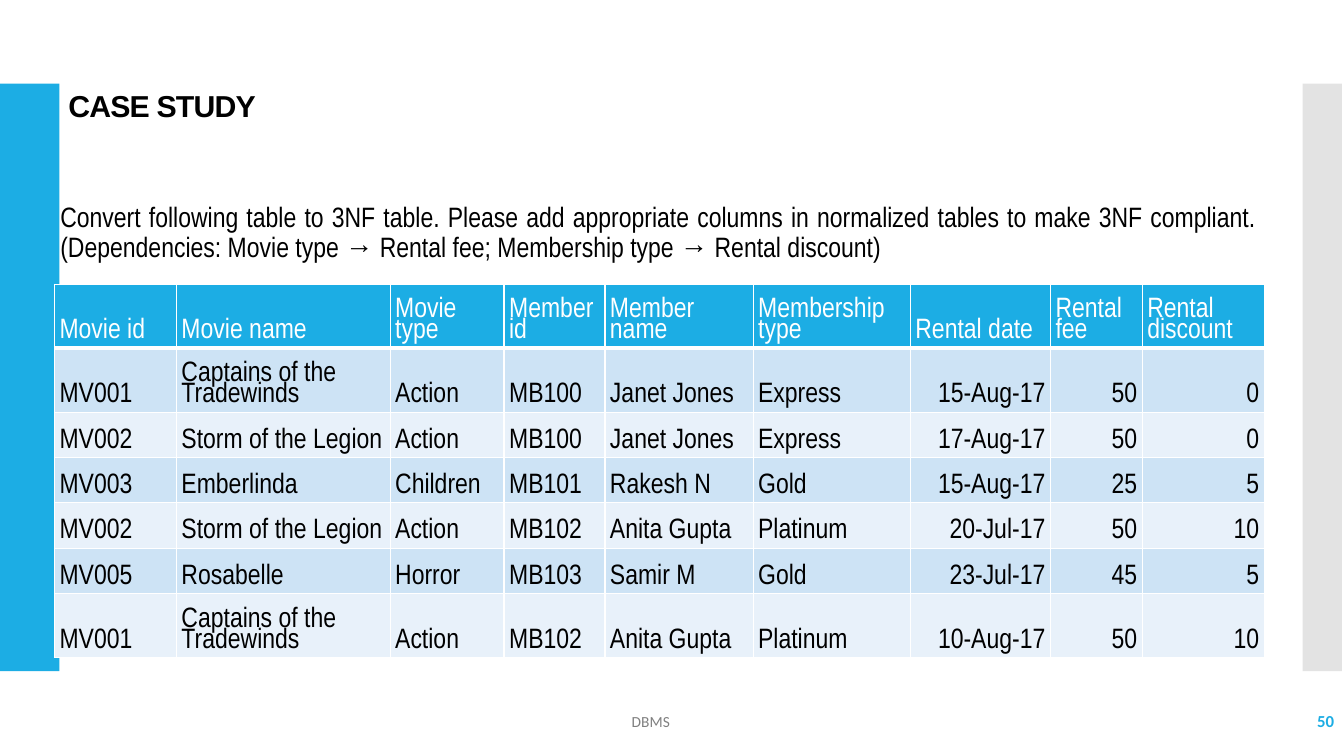
from lxml import etree
from pptx import Presentation
from pptx.dml.color import RGBColor
from pptx.enum import shapes, text
from pptx.oxml import ns
from pptx.util import Inches, Pt

BLUE, WHITE, BLACK = "1CADE4", "FFFFFF", "000000"
BANDS = ["CDE3F5", "E8F1FA"]
NARROW = "Arial Narrow"
LEFT, RIGHT = text.PP_ALIGN.LEFT, text.PP_ALIGN.RIGHT
TOP, MIDDLE = text.MSO_ANCHOR.TOP, text.MSO_ANCHOR.MIDDLE

WIDTHS = [1.21, 2.12, 1.13, 1, 1.47, 1.56, 1.39, 0.91, 1.21]
FIRST_RIGHT = 6  # columns from here on are right-aligned below the header
RENTALS = [
    ["Movie id", "Movie name", "Movie type", "Member id", "Member name",
     "Membership type", "Rental date", "Rental fee", "Rental discount"],
    ["MV001", "Captains of the Tradewinds", "Action", "MB100", "Janet Jones",
     "Express", "15-Aug-17", "50", "0"],
    ["MV002", "Storm of the Legion", "Action", "MB100", "Janet Jones",
     "Express", "17-Aug-17", "50", "0"],
    ["MV003", "Emberlinda", "Children", "MB101", "Rakesh N",
     "Gold", "15-Aug-17", "25", "5"],
    ["MV002", "Storm of the Legion", "Action", "MB102", "Anita Gupta",
     "Platinum", "20-Jul-17", "50", "10"],
    ["MV005", "Rosabelle", "Horror", "MB103", "Samir M",
     "Gold", "23-Jul-17", "45", "5"],
    ["MV001", "Captains of the Tradewinds", "Action", "MB102", "Anita Gupta",
     "Platinum", "10-Aug-17", "50", "10"],
]
TASK = ("Convert following table to 3NF table. Please add appropriate columns "
        "in normalized tables to make 3NF compliant. (Dependencies: Movie type "
        "→ Rental fee; Membership type → Rental discount)")


def paint(fill, color):
    fill.solid()
    fill.fore_color.rgb = RGBColor.from_string(color)


def add_run(para, words, size, font, color, bold=False):
    run = para.add_run()
    run.text = words
    run.font.size = Pt(size)
    run.font.name = font
    run.font.bold = bold
    run.font.color.rgb = RGBColor.from_string(color)
    return run


def add_bar(slide, left, width, color):
    bar = slide.shapes.add_shape(
        shapes.MSO_SHAPE.RECTANGLE, Inches(left), Inches(0.83),
        Inches(width), Inches(5.83))
    bar.shadow.inherit = False
    bar.line.fill.background()
    paint(bar.fill, color)
    return bar


def fade(shape, percent):
    """Make a solid fill partly transparent, keeping percent of its opacity."""
    color = next(shape.fill._xPr.iter(ns.qn("a:srgbClr")))
    etree.SubElement(color, ns.qn("a:alpha"), val=str(percent * 1000))


def add_label(slide, box, words, size, font, color,
              align=LEFT, anchor=TOP, spacing=None, bold=False):
    frame = slide.shapes.add_textbox(*map(Inches, box)).text_frame
    frame.word_wrap = True
    frame.vertical_anchor = anchor
    para = frame.paragraphs[0]
    para.alignment = align
    para.line_spacing = spacing
    return add_run(para, words, size, font, color, bold)


def edge(cell, side, width):
    """Draw one white border of a cell; side is L, R, T or B."""
    line = etree.SubElement(cell._tc.get_or_add_tcPr(), ns.qn("a:ln" + side),
                            w=str(Pt(width)))
    solid = etree.SubElement(line, ns.qn("a:solidFill"))
    etree.SubElement(solid, ns.qn("a:srgbClr"), val=WHITE)


def fill_cell(cell, words, row, col):
    head = row == 0
    cell.margin_left = cell.margin_right = Inches(0.05)
    cell.margin_top = cell.margin_bottom = Inches(0.05)
    cell.vertical_anchor = text.MSO_ANCHOR.BOTTOM
    for side in "LRTB":
        thick = (head and side == "B") or (row == 1 and side == "T")
        edge(cell, side, 3 if thick else 1)
    paint(cell.fill, BLUE if head else BANDS[(row - 1) % 2])
    para = cell.text_frame.paragraphs[0]
    para.alignment = RIGHT if not head and col >= FIRST_RIGHT else LEFT
    para.line_spacing = 0.8
    add_run(para, words, 20, NARROW, WHITE if head else BLACK)


def add_rentals(slide):
    count = len(RENTALS)
    table = slide.shapes.add_table(
        count, len(WIDTHS), Inches(0.54), Inches(2.82),
        Inches(sum(WIDTHS)), Inches(0.45 * count)).table
    table.first_row = table.horz_banding = False
    for column, width in zip(table.columns, WIDTHS):
        column.width = Inches(width)
    for row, values in enumerate(RENTALS):
        table.rows[row].height = Inches(0.45)
        for col, words in enumerate(values):
            fill_cell(table.cell(row, col), words, row, col)


def main():
    deck = Presentation()
    deck.slide_width, deck.slide_height = Inches(13.33), Inches(7.5)
    slide = deck.slides.add_slide(deck.slide_layouts[6])

    add_bar(slide, 0, 0.59, BLUE)
    fade(add_bar(slide, 12.92, 0.39, "C8C8C8"), 50)
    add_label(slide, (0.5, 1.97, 12.06, 0.71), TASK, 20, NARROW, BLACK,
              align=text.PP_ALIGN.JUSTIFY, spacing=0.9)
    title = add_label(slide, (0.58, 0.86, 10.44, 0.4), "CASE STUDY", 21.6,
                      "Arial", BLACK, spacing=0.9, bold=True)
    title.font._element.set("spc", "-60")
    add_label(slide, (11.66, 6.95, 1.67, 0.4), "50", 12, "Calibri", BLUE,
              align=RIGHT, anchor=MIDDLE, bold=True)
    add_rentals(slide)
    add_label(slide, (3.29, 6.96, 6.33, 0.39), "DBMS", 11, "Calibri", "808080",
              align=text.PP_ALIGN.CENTER, anchor=MIDDLE)
    deck.save("out.pptx")


if __name__ == "__main__":
    main()
